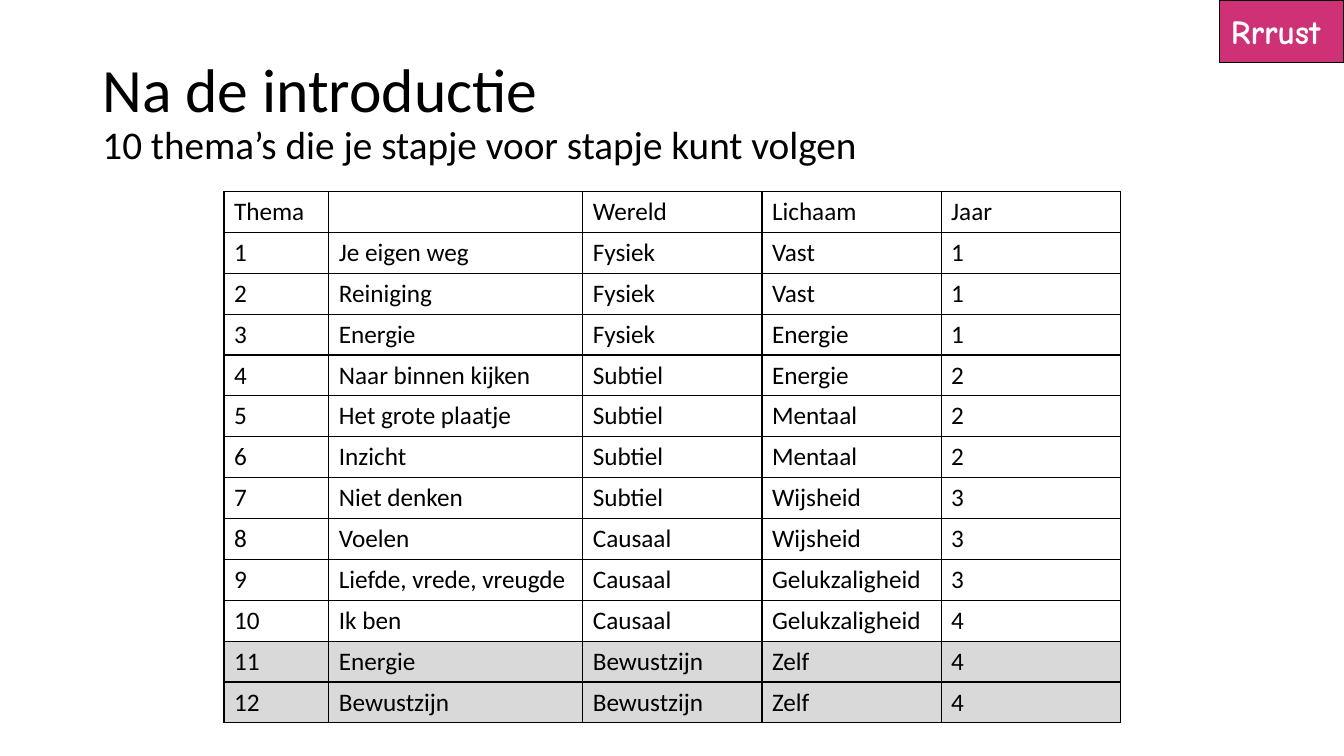
from dataclasses import dataclass

from lxml import etree
from pptx import Presentation
from pptx import util as u
from pptx.dml.color import RGBColor
from pptx.enum import shapes, text
from pptx.oxml import ns


@dataclass(frozen=True)
class Theme:
    ink: str = "000000"
    badge: str = "CE3175"
    badge_ink: str = "FFFFFF"
    shade: str = "D9D9D9"
    body_font: str = "Calibri"
    badge_font: str = "Comic Neue"
    title_size: int = 44
    subtitle_size: int = 28
    badge_size: int = 24
    body_size: int = 18
    line_width: int = 1


THEMES = [
    ("Thema", "", "Wereld", "Lichaam", "Jaar"),
    ("1", "Je eigen weg", "Fysiek", "Vast", "1"),
    ("2", "Reiniging", "Fysiek", "Vast", "1"),
    ("3", "Energie", "Fysiek", "Energie", "1"),
    ("4", "Naar binnen kijken", "Subtiel", "Energie", "2"),
    ("5", "Het grote plaatje", "Subtiel", "Mentaal", "2"),
    ("6", "Inzicht", "Subtiel", "Mentaal", "2"),
    ("7", "Niet denken", "Subtiel", "Wijsheid", "3"),
    ("8", "Voelen", "Causaal", "Wijsheid", "3"),
    ("9", "Liefde, vrede, vreugde", "Causaal", "Gelukzaligheid", "3"),
    ("10", "Ik ben", "Causaal", "Gelukzaligheid", "4"),
    ("11", "Energie", "Bewustzijn", "Zelf", "4"),
    ("12", "Bewustzijn", "Bewustzijn", "Zelf", "4"),
]
COLUMN_WIDTHS = (74.9, 181.4, 128, 128, 128)
ROW_HEIGHT = 29.2
SHADED_ROWS = (11, 12)


def write(paragraph, words, *, size, color, font, bold=False):
    run = paragraph.add_run()
    run.text = words
    run.font.size = u.Pt(size)
    run.font.name = font
    run.font.bold = bold
    run.font.color.rgb = RGBColor.from_string(color)


class Deck:
    def __init__(self, theme, width, height):
        self.theme = theme
        self.file = Presentation()
        self.file.slide_width, self.file.slide_height = u.Pt(width), u.Pt(height)
        self.slide = self.file.slides.add_slide(self.file.slide_layouts[5])

    def title(self, heading, subtitle, left, top, width, height):
        theme = self.theme
        title = self.slide.shapes.title
        title.left, title.top = u.Pt(left), u.Pt(top)
        title.width, title.height = u.Pt(width), u.Pt(height)
        frame = title.text_frame
        frame.word_wrap = True
        frame.auto_size = text.MSO_AUTO_SIZE.NONE
        frame.vertical_anchor = text.MSO_ANCHOR.MIDDLE
        line = frame.paragraphs[0]
        line.alignment = text.PP_ALIGN.LEFT
        line.line_spacing = 0.9
        write(line, heading, size=theme.title_size, color=theme.ink, font=theme.body_font)
        line.add_line_break()
        write(line, subtitle, size=theme.subtitle_size, color=theme.ink, font=theme.body_font)

    def badge(self, label, left, top, width, height):
        theme = self.theme
        badge = self.slide.shapes.add_shape(
            shapes.MSO_SHAPE.RECTANGLE, u.Pt(left), u.Pt(top), u.Pt(width), u.Pt(height))
        badge.shadow.inherit = False
        badge.fill.solid()
        badge.fill.fore_color.rgb = RGBColor.from_string(theme.badge)
        badge.line.color.rgb = RGBColor.from_string(theme.ink)
        badge.line.width = u.Pt(theme.line_width)
        frame = badge.text_frame
        frame.vertical_anchor = text.MSO_ANCHOR.MIDDLE
        frame.margin_right = u.Pt(16)
        line = frame.paragraphs[0]
        line.alignment = text.PP_ALIGN.CENTER
        write(line, label, size=theme.badge_size, color=theme.badge_ink,
              font=theme.badge_font, bold=True)

    def border(self, cell):
        properties = cell._tc.get_or_add_tcPr()
        for position, side in enumerate(("a:lnL", "a:lnR", "a:lnT", "a:lnB")):
            edge = etree.Element(ns.qn(side), w=str(u.Pt(self.theme.line_width)))
            fill = etree.SubElement(edge, ns.qn("a:solidFill"))
            etree.SubElement(fill, ns.qn("a:srgbClr"), val=self.theme.ink)
            properties.insert(position, edge)

    def table(self, rows, widths, row_height, shaded, left, top):
        theme = self.theme
        table = self.slide.shapes.add_table(
            len(rows), len(widths), u.Pt(left), u.Pt(top),
            u.Pt(sum(widths)), u.Pt(row_height * len(rows))).table
        table.first_row = table.horz_banding = False
        for column, width in zip(table.columns, widths):
            column.width = u.Pt(width)
        for row_number, entries in enumerate(rows):
            table.rows[row_number].height = u.Pt(row_height)
            for column_number, entry in enumerate(entries):
                cell = table.cell(row_number, column_number)
                if row_number in shaded:
                    cell.fill.solid()
                    cell.fill.fore_color.rgb = RGBColor.from_string(theme.shade)
                else:
                    cell.fill.background()
                self.border(cell)
                if entry:
                    write(cell.text_frame.paragraphs[0], entry, size=theme.body_size,
                          color=theme.ink, font=theme.body_font)


def main():
    deck = Deck(Theme(), 960, 540)
    deck.title("Na de introductie", "10 thema’s die je stapje voor stapje kunt volgen",
               66, 28.75, 828, 104.4)
    deck.badge("Rrrust", 871.2, 0, 88.8, 44.8)
    deck.table(THEMES, COLUMN_WIDTHS, ROW_HEIGHT, SHADED_ROWS, 160, 136.8)
    deck.file.save("out.pptx")


if __name__ == "__main__":
    main()
